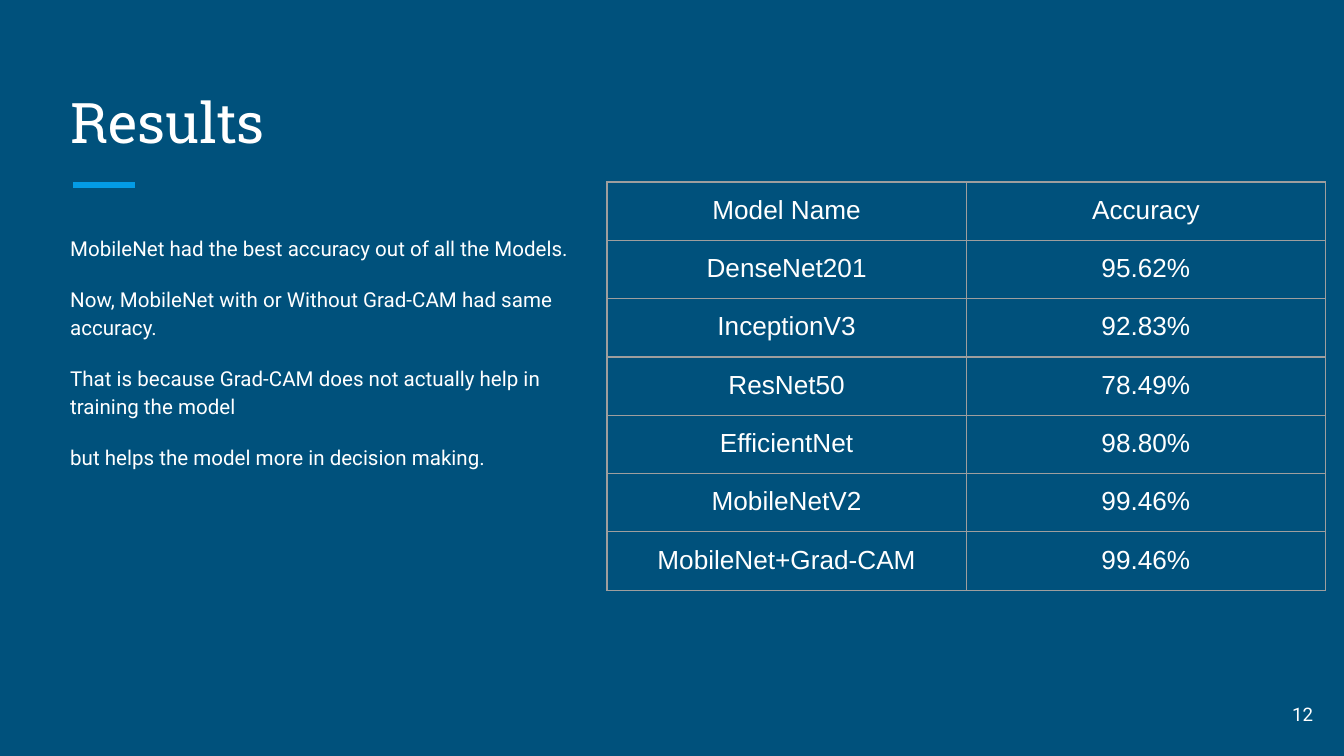
from dataclasses import dataclass

from pptx import Presentation
from pptx.dml.color import RGBColor
from pptx.enum.text import MSO_ANCHOR, PP_ALIGN
from pptx.enum.shapes import MSO_CONNECTOR
from pptx.oxml.ns import qn
from pptx.util import Pt
from lxml.etree import SubElement


@dataclass(frozen=True)
class Theme:
    back: str = "00517C"
    ink: str = "FFFFFF"
    accent: str = "039BE5"
    grid: str = "9E9E9E"
    head: tuple = ("Roboto Slab", 30)
    body: tuple = ("Roboto", 11)
    cell: tuple = ("Arial", 14)
    foot: tuple = ("Roboto", 10)
    inset: float = 7.2


THEME = Theme()

NOTES = [
    "MobileNet had the best accuracy out of all the Models.",
    "Now, MobileNet with or Without Grad-CAM had same accuracy.",
    "That is because Grad-CAM does not actually help in training the model",
    "but helps the model more in decision making.",
]

SCORES = [
    ("Model Name", "Accuracy"),
    ("DenseNet201", "95.62%"),
    ("InceptionV3", "92.83%"),
    ("ResNet50", "78.49%"),
    ("EfficientNet", "98.80%"),
    ("MobileNetV2", "99.46%"),
    ("MobileNet+Grad-CAM", "99.46%"),
]


def style(para, face, align=PP_ALIGN.LEFT):
    name, size = face
    para.alignment = align
    para.font.name = name
    para.font.size = Pt(size)
    para.font.color.rgb = RGBColor.from_string(THEME.ink)


def pad(item):
    """Give a text frame or a table cell the same inset on all sides."""
    item.margin_left = item.margin_right = Pt(THEME.inset)
    item.margin_top = item.margin_bottom = Pt(THEME.inset)


def add_text(slide, box, lines, face, anchor=MSO_ANCHOR.TOP, align=PP_ALIGN.LEFT):
    frame = slide.shapes.add_textbox(*map(Pt, box)).text_frame
    frame.word_wrap = True
    frame.vertical_anchor = anchor
    pad(frame)
    frame.text = "\n".join(lines)
    for para in frame.paragraphs:
        style(para, face, align)
    return frame


def add_title(slide, box, text):
    """Place the heading with a short accent rule below it."""
    left, top, width, height = box
    add_text(slide, box, [text], THEME.head, MSO_ANCHOR.BOTTOM)
    start, level = left + 8.5, top + height + 9
    rule = slide.shapes.add_connector(
        MSO_CONNECTOR.STRAIGHT, Pt(start), Pt(level), Pt(start + 33.5), Pt(level))
    rule.line.color.rgb = RGBColor.from_string(THEME.accent)
    rule.line.width = Pt(3)
    SubElement(rule._element.spPr, qn("a:effectLst"))


def add_notes(slide, box, lines):
    paras = add_text(slide, box, lines, THEME.body).paragraphs
    for para in paras:
        para.line_spacing = 1.15
    for para in paras[1:]:
        para.space_before = Pt(12)
    paras[-1].space_after = Pt(12)


def add_edges(cell):
    props = cell._tc.get_or_add_tcPr()
    for side in ("lnL", "lnR", "lnT", "lnB"):
        edge = SubElement(props, qn("a:" + side), w=str(Pt(0.75)))
        fill = SubElement(edge, qn("a:solidFill"))
        SubElement(fill, qn("a:srgbClr"), val=THEME.grid)


def add_scores(slide, box, rows):
    left, top, width, height = box
    count, span = len(rows), len(rows[0])
    table = slide.shapes.add_table(count, span, *map(Pt, box)).table
    table.first_row = table.horz_banding = False
    for col in table.columns:
        col.width = Pt(width / span)
    for row, texts in zip(table.rows, rows):
        row.height = Pt(height / count)
        for cell, text in zip(row.cells, texts):
            cell.text = text
            pad(cell)
            style(cell.text_frame.paragraphs[0], THEME.cell, PP_ALIGN.CENTER)
            add_edges(cell)
            cell.fill.background()


def main():
    deck = Presentation()
    deck.slide_width, deck.slide_height = Pt(720), Pt(405)
    slide = deck.slides.add_slide(deck.slide_layouts[6])
    fill = slide.background.fill
    fill.solid()
    fill.fore_color.rgb = RGBColor.from_string(THEME.back)

    add_title(slide, (30.5, 36, 659, 54), "Results")
    add_notes(slide, (30.5, 117.5, 286.5, 242.5), NOTES)
    add_text(slide, (667.5, 367, 43, 31), ["12"], THEME.foot,
             MSO_ANCHOR.MIDDLE, PP_ALIGN.RIGHT)
    add_scores(slide, (325.2, 97.5, 385, 210), SCORES)
    deck.save("out.pptx")


if __name__ == "__main__":
    main()
